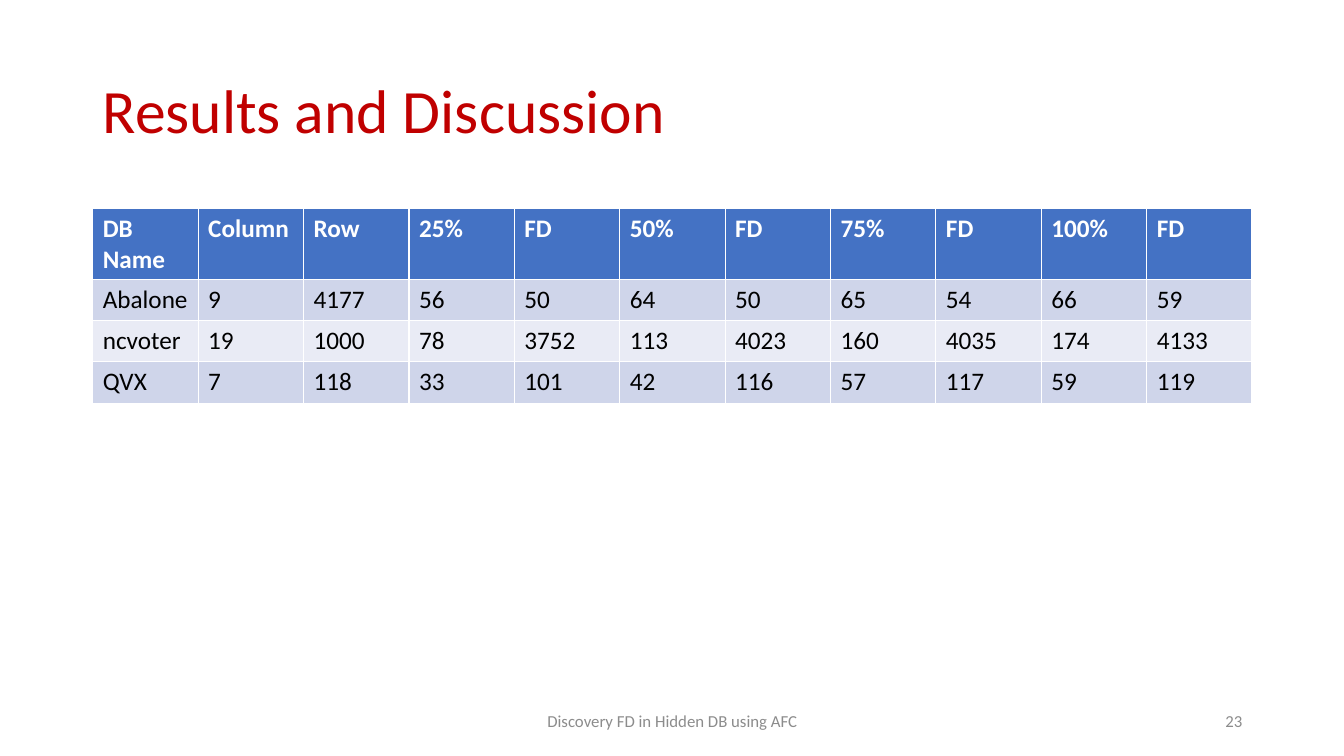
from dataclasses import dataclass

from pptx import Presentation
from pptx.dml import color
from pptx.enum import text
from pptx.slide import Slide
from pptx.util import Inches, Pt


@dataclass(frozen=True)
class Theme:
    font: str = "Calibri"
    title: str = "C00000"
    footer: str = "8C8C8C"
    header_fill: str = "4472C4"
    header_text: str = "FFFFFF"
    body_text: str = "000000"
    bands: tuple[str, str] = ("CFD5EA", "E9EBF5")
    title_size: int = 44
    table_size: int = 18
    footer_size: int = 12


@dataclass(frozen=True)
class Label:
    words: str
    left: float
    top: float
    width: float
    height: float
    size: int
    color: str
    align: text.PP_ALIGN = text.PP_ALIGN.LEFT
    line_spacing: float = 1.0


THEME = Theme()

LABELS = [
    Label("Results and Discussion", 0.92, 0.4, 11.5, 1.45,
          THEME.title_size, THEME.title, line_spacing=0.9),
    Label("Discovery FD in Hidden DB using AFC", 4.42, 6.95, 4.5, 0.4,
          THEME.footer_size, THEME.footer, text.PP_ALIGN.CENTER),
    Label("23", 9.42, 6.95, 3, 0.4,
          THEME.footer_size, THEME.footer, text.PP_ALIGN.RIGHT),
]

RESULTS = [
    ["DB Name", "Column", "Row", "25%", "FD", "50%", "FD", "75%", "FD", "100%", "FD"],
    ["Abalone", "9", "4177", "56", "50", "64", "50", "65", "54", "66", "59"],
    ["ncvoter", "19", "1000", "78", "3752", "113", "4023", "160", "4035", "174", "4133"],
    ["QVX", "7", "118", "33", "101", "42", "116", "57", "117", "59", "119"],
]
TABLE_LEFT, TABLE_TOP, TABLE_WIDTH = 0.92, 2.07, 11.5
HEADER_HEIGHT, ROW_HEIGHT = 0.69, 0.41


def style_text(frame: text, size: int, ink: str, bold: bool = False) -> None:
    for run in frame.paragraphs[0].runs:
        run.font.name = THEME.font
        run.font.size = Pt(size)
        run.font.bold = bold
        run.font.color.rgb = color.RGBColor.from_string(ink)


def add_label(slide: Slide, label: Label) -> None:
    box = slide.shapes.add_textbox(Inches(label.left), Inches(label.top),
                                   Inches(label.width), Inches(label.height))
    frame = box.text_frame
    frame.word_wrap = True
    frame.vertical_anchor = text.MSO_ANCHOR.MIDDLE
    frame.text = label.words
    frame.paragraphs[0].alignment = label.align
    frame.paragraphs[0].line_spacing = label.line_spacing
    style_text(frame, label.size, label.color)


def add_results(slide: Slide, results: list[list[str]]) -> None:
    height = HEADER_HEIGHT + ROW_HEIGHT * (len(results) - 1)
    # The default table style supplies the white grid and the thick header rule
    table = slide.shapes.add_table(
        len(results), len(results[0]), Inches(TABLE_LEFT), Inches(TABLE_TOP),
        Inches(TABLE_WIDTH), Inches(height)).table
    for index, values in enumerate(results):
        is_header = index == 0
        table.rows[index].height = Inches(HEADER_HEIGHT if is_header else ROW_HEIGHT)
        fill = THEME.header_fill if is_header else THEME.bands[(index - 1) % 2]
        ink = THEME.header_text if is_header else THEME.body_text
        for cell, value in zip(table.rows[index].cells, values):
            cell.fill.solid()
            cell.fill.fore_color.rgb = color.RGBColor.from_string(fill)
            cell.text_frame.text = value
            style_text(cell.text_frame, THEME.table_size, ink, is_header)


def main() -> None:
    deck = Presentation()
    deck.slide_width, deck.slide_height = Inches(13.33), Inches(7.5)
    slide = deck.slides.add_slide(deck.slide_layouts[6])

    # Title and footer
    for label in LABELS:
        add_label(slide, label)

    # Results by database
    add_results(slide, RESULTS)

    deck.save("out.pptx")


if __name__ == "__main__":
    main()
